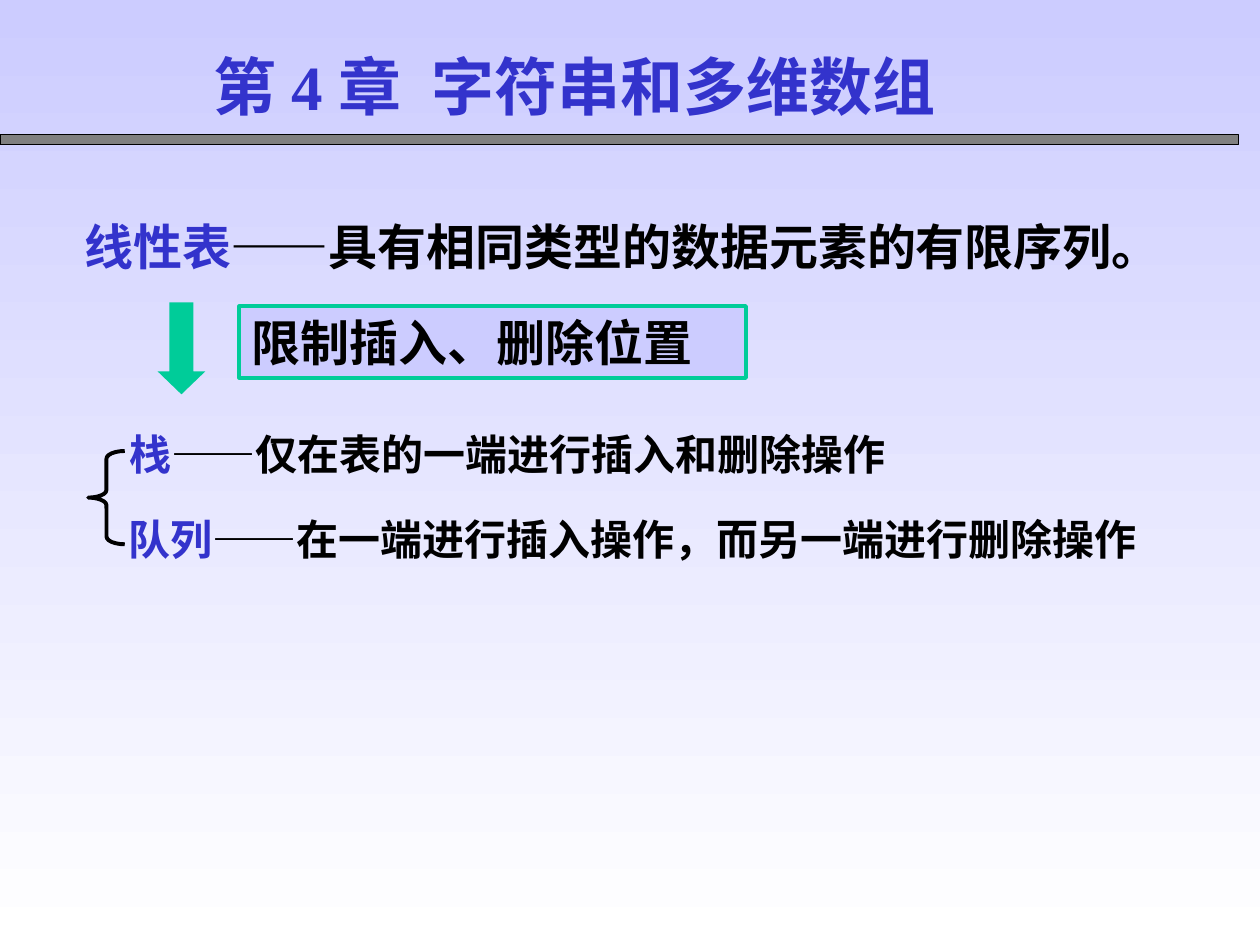
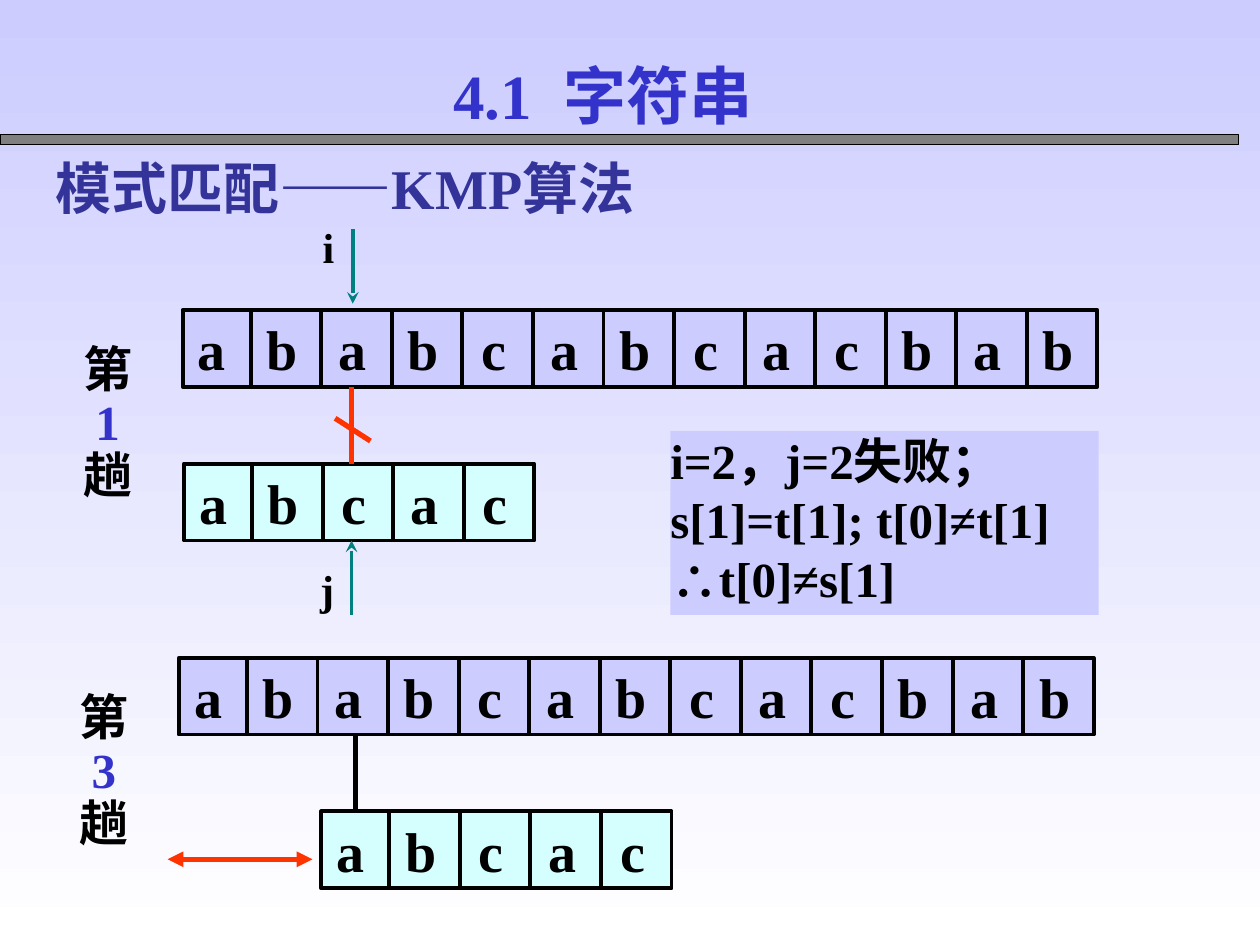
from dataclasses import dataclass

from lxml import etree
from pptx import Presentation
from pptx.dml.color import RGBColor
from pptx.enum import shapes, text
from pptx.oxml import ns
from pptx.util import Inches, Pt


@dataclass(frozen=True)
class Theme:
    # Colours
    lavender: str = "CCCCFF"
    white: str = "FFFFFF"
    black: str = "000000"
    blue: str = "3333CC"
    navy: str = "333399"
    gray: str = "808080"
    green: str = "00CC99"
    teal: str = "008080"
    red: str = "FF3300"
    aqua: str = "D5FFFF"
    # Fonts
    sans: str = "Arial"
    serif: str = "Times New Roman"
    chinese: str = "Noto Sans CJK SC"
    # Type sizes in points
    title: int = 36
    heading: int = 32
    body: int = 28
    small: int = 24
    # Line widths in points
    thin: float = 0.75
    medium: float = 2.25
    thick: float = 3


THEME = Theme()
BOX_INSETS = (0.1, 0.05, 0.1, 0.05)
NO_INSETS = (0, 0, 0, 0)

# Character strips
TARGET = "ababcabcacbab"
PATTERN = "abcac"
FIRST_CELL, CELL, STRIP_HEIGHT = 0.54, 0.56, 0.61
STRIP_INSETS = (0.12, 0, 0.02, 0)


def rgb(color):
    return RGBColor.from_string(color)


def add_xml(parent, tag, **attributes):
    return etree.SubElement(parent, ns.qn(tag), attributes)


# Text
def style_span(span, size, color, font):
    span.font.size = Pt(size)
    span.font.bold = True
    span.font.color.rgb = rgb(color)
    span.font.name = font
    latin = span.font._element.find(ns.qn("a:latin"))
    latin.addnext(latin.makeelement(ns.qn("a:ea"), {"typeface": THEME.chinese}))


def add_spans(para, spans, size, font):
    """Fill a paragraph with (words, colour) spans."""
    for words, color in spans:
        span = para.add_run()
        span.text = words
        style_span(span, size, color, font)


def set_frame(box, insets, wrap=True, anchor=text.MSO_ANCHOR.TOP):
    frame = box.text_frame
    frame.word_wrap = wrap
    frame.vertical_anchor = anchor
    (frame.margin_left, frame.margin_top,
     frame.margin_right, frame.margin_bottom) = map(Inches, insets)
    return frame


def add_text(page, at, spans, size, font, insets=BOX_INSETS, wrap=True):
    box = page.shapes.add_textbox(*map(Inches, at))
    frame = set_frame(box, insets, wrap)
    add_spans(frame.paragraphs[0], spans, size, font)
    return frame


# Shapes and lines
def add_block(page, kind, at, fill=None, line=None, width=THEME.medium):
    block = page.shapes.add_shape(kind, *map(Inches, at))
    block.shadow.inherit = False
    if fill:
        block.fill.solid()
        block.fill.fore_color.rgb = rgb(fill)
    else:
        block.fill.background()
    if line:
        block.line.color.rgb = rgb(line)
        block.line.width = Pt(width)
    else:
        block.line.fill.background()
    return block


def add_line(page, start, end, color=THEME.black, width=THEME.medium,
             head=None, tail=None):
    line = page.shapes.add_connector(
        shapes.MSO_CONNECTOR.STRAIGHT, *map(Inches, (*start, *end)))
    line.line.color.rgb = rgb(color)
    line.line.width = Pt(width)
    stroke = line.line._get_or_add_ln()
    for tag, arrow in (("a:headEnd", head), ("a:tailEnd", tail)):
        if arrow:
            add_xml(stroke, tag, type=arrow)
    add_xml(line._element.spPr, "a:effectLst")


# Shared page: gradient, band and shadowed title
def add_title(page, at, parts, align):
    lead, rest = parts
    frame = add_text(page, at, [(words, THEME.blue) for words in (lead, " ", rest)],
                     THEME.title, THEME.serif)
    para = frame.paragraphs[0]
    para.alignment = align
    para.runs[1].font._element.set("spc", "900")
    for span in para.runs:
        fill = span.font._element.find(ns.qn("a:solidFill"))
        effects = fill.makeelement(ns.qn("a:effectLst"), {})
        fill.addnext(effects)
        shadow = add_xml(effects, "a:outerShdw", dist="35921", dir="2700000")
        add_xml(shadow, "a:srgbClr", val=THEME.gray)


def new_page(deck, title_at, title, align):
    page = deck.slides.add_slide(deck.slide_layouts[6])
    fill = page.background.fill
    fill.gradient()
    fill.gradient_angle = 270
    for stop, color in zip(fill.gradient_stops, (THEME.lavender, THEME.white)):
        stop.color.rgb = rgb(color)
    add_block(page, shapes.MSO_SHAPE.RECTANGLE, (0, 1.07, 9.83, 0.08),
              THEME.gray, THEME.black, THEME.thin)
    add_title(page, title_at, title, align)
    return page


# Chapter slide
def add_definition(page, at, term, meaning, size):
    spans = [(term, THEME.blue), ("——", THEME.black), (meaning, THEME.black)]
    add_text(page, at, spans, size, THEME.sans)


def build_chapter(deck):
    page = new_page(deck, (1.6, 0.33, 6.23, 0.7), ("第 4 章", "字符串和多维数组"),
                    text.PP_ALIGN.LEFT)
    add_definition(page, (0.57, 1.67, 8.84, 0.57), "线性表",
                   "具有相同类型的数据元素的有限序列。", THEME.body)

    # Restriction that leads to stack and queue
    arrow = add_block(page, shapes.MSO_SHAPE.DOWN_ARROW, (1.25, 2.4, 0.38, 0.73),
                      THEME.green)
    arrow.adjustments[1] = 0.48
    limit = add_block(page, shapes.MSO_SHAPE.RECTANGLE, (1.9, 2.43, 4.02, 0.57),
                      THEME.lavender, THEME.green)
    para = set_frame(limit, BOX_INSETS).paragraphs[0]
    para.alignment = text.PP_ALIGN.LEFT
    add_spans(para, [("限制插入、删除位置", THEME.black)], THEME.body, THEME.sans)

    # Stack and queue
    add_definition(page, (0.93, 3.35, 8.45, 0.5), "栈",
                   "仅在表的一端进行插入和删除操作", THEME.small)
    add_definition(page, (0.92, 4.03, 8.34, 0.5), "队列",
                   "在一端进行插入操作，而另一端进行删除操作", THEME.small)
    brace = add_block(page, shapes.MSO_SHAPE.LEFT_BRACE, (0.7, 3.58, 0.29, 0.74),
                      line=THEME.black)
    brace.adjustments[0] = 0.21


# String matching slide
def add_strip(page, left, top, letters, fill):
    """Draw a row of cells with one letter in each."""
    width = FIRST_CELL + CELL * (len(letters) - 1)
    strip = add_block(page, shapes.MSO_SHAPE.RECTANGLE,
                      (left, top, width, STRIP_HEIGHT), fill, THEME.black)
    frame = set_frame(strip, STRIP_INSETS, anchor=text.MSO_ANCHOR.MIDDLE)
    para = frame.paragraphs[0]
    tabs = add_xml(para._p.get_or_add_pPr(), "a:tabLst")
    for index in range(1, len(letters)):
        add_xml(tabs, "a:tab", pos=str(Inches(0.11 + CELL * index)), algn="ctr")
        x = left + FIRST_CELL + CELL * (index - 1)
        add_line(page, (x, top), (x, top + STRIP_HEIGHT))
    para.alignment = text.PP_ALIGN.LEFT
    add_spans(para, [("\t".join(letters), THEME.black)], THEME.heading, THEME.serif)


def add_pass(page, number, left, top, pattern_left, link_x, link_color):
    """Draw one matching pass: label, target, pattern and their link."""
    label = add_text(page, (left - 0.89, top + 0.23, 0.71, 1.36),
                     [("第", THEME.black)], THEME.body, THEME.serif,
                     (0.1, 0.05, 0.22, 0.05), wrap=False)
    for words, color in ((number, THEME.blue), ("趟", THEME.black)):
        add_spans(label.add_paragraph(), [(words, color)], THEME.body, THEME.serif)
    for para in label.paragraphs:
        para.alignment = text.PP_ALIGN.CENTER
        para.line_spacing = 0.9

    pattern_top = top + 2 * STRIP_HEIGHT
    add_strip(page, left, top, TARGET, THEME.lavender)
    add_strip(page, pattern_left, pattern_top, PATTERN, THEME.aqua)
    add_line(page, (link_x, top + STRIP_HEIGHT), (link_x, pattern_top),
             link_color, THEME.thick)


def add_pointer(page, name, name_at, x, start, end):
    add_line(page, (x, start), (x, end), THEME.teal, tail="stealth")
    add_text(page, (*name_at, 0.25, 0.5), [(name, THEME.black)],
             THEME.small, THEME.serif, (0, 0.05, 0, 0.05))


def build_matching(deck):
    page = new_page(deck, (2.93, 0.4, 3.71, 0.7), ("4.1", "字符串"),
                    text.PP_ALIGN.CENTER)
    add_text(page, (0.34, 1.17, 8.17, 0.64), [("模式匹配——KMP算法", THEME.navy)],
             THEME.heading, THEME.serif)

    # Conclusion drawn from the first pass
    note = add_block(page, shapes.MSO_SHAPE.RECTANGLE, (5.32, 3.42, 3.4, 1.46),
                     THEME.lavender)
    frame = set_frame(note, NO_INSETS)
    frame.text = "i=2，j=2失败； s[1]=t[1]; t[0]≠t[1]\n∴t[0]≠s[1]"
    for para in frame.paragraphs:
        para.alignment = text.PP_ALIGN.LEFT
        style_span(para.runs[0], THEME.body, THEME.black, THEME.serif)

    # First pass with its mismatch
    add_pass(page, "1", 1.45, 2.46, 1.46, 2.79, THEME.red)
    add_line(page, (2.66, 3.32), (2.94, 3.5), THEME.red, THEME.thick)
    add_pointer(page, "i", (2.56, 1.71), 2.8, 1.82, 2.41)
    add_pointer(page, "j", (2.54, 4.42), 2.79, 4.88, 4.29)

    # Third pass with the shifted pattern
    add_pass(page, "3", 1.42, 5.22, 2.55, 2.82, THEME.black)
    add_line(page, (1.33, 6.82), (2.48, 6.82), THEME.red, THEME.thick,
             head="triangle", tail="triangle")


def main():
    deck = Presentation()
    deck.slide_width, deck.slide_height = Inches(10), Inches(7.5)
    build_chapter(deck)
    build_matching(deck)
    deck.save("out.pptx")


if __name__ == "__main__":
    main()
